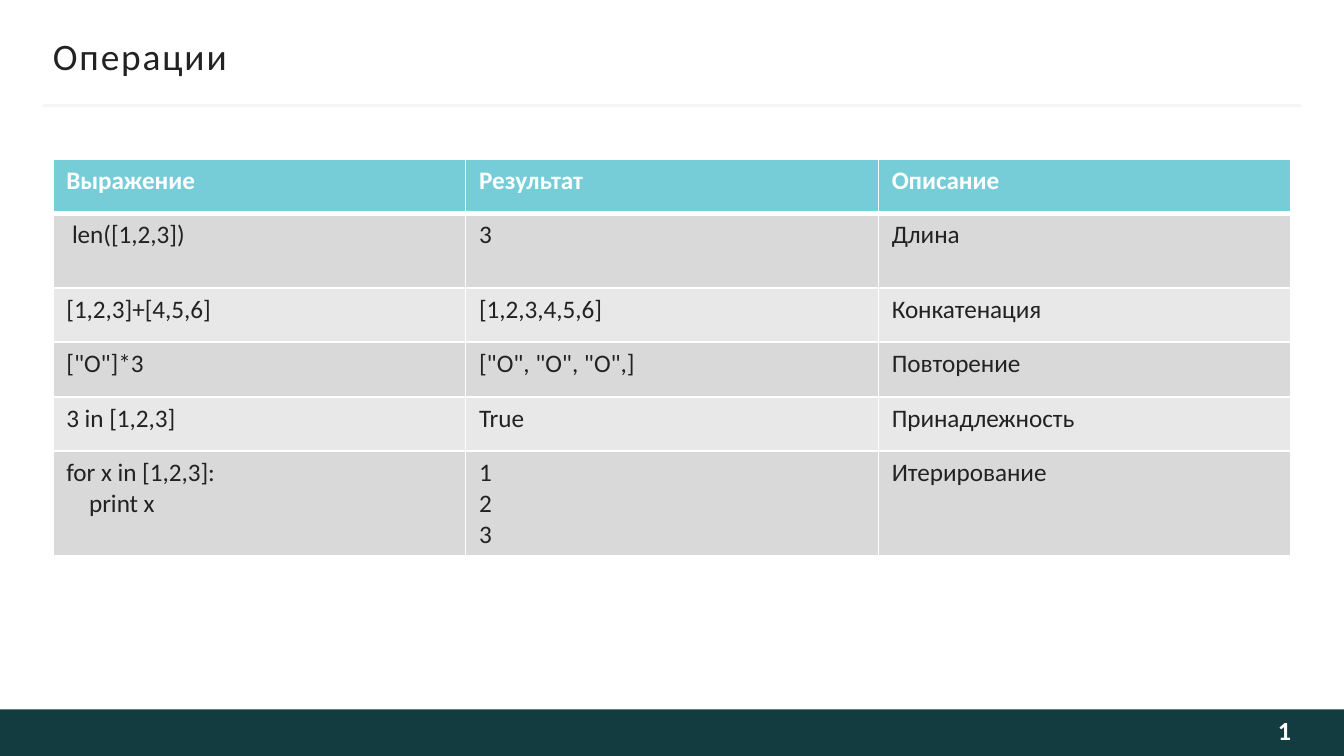
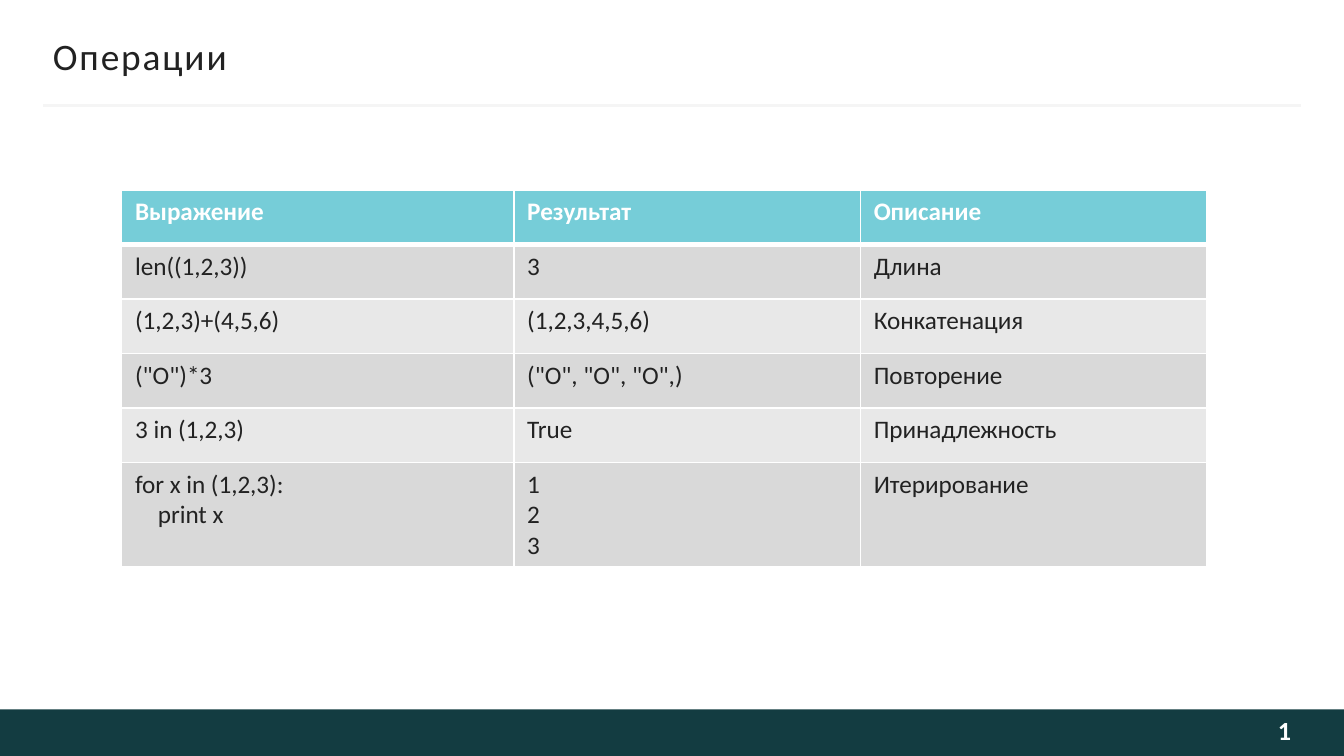
import dataclasses

import lxml.etree
import pptx
import pptx.dml.color
import pptx.enum.shapes
import pptx.enum.text
import pptx.oxml.ns
import pptx.util

Cm = pptx.util.Cm
Pt = pptx.util.Pt
ALIGN = pptx.enum.text.PP_ALIGN
ANCHOR = pptx.enum.text.MSO_ANCHOR
qn = pptx.oxml.ns.qn


@dataclasses.dataclass(frozen=True)
class Theme:
    font: str = "Calibri"
    ink: str = "222222"
    white: str = "FFFFFF"
    number: str = "FEFEFE"
    rule: str = "F5F5F5"
    band: str = "133C41"
    header: str = "76CDD8"
    stripes: tuple = ("D9D9D9", "E8E8E8")
    title_size: float = 20
    number_size: float = 14
    cell_size: float = 13.5


THEME = Theme()
SLIDE_WIDTH, SLIDE_HEIGHT = Cm(25.4), Cm(14.29)
MARGIN = Cm(1)
BAND_HEIGHT = Cm(0.88)
ROW, TALL_ROW, LAST_ROW = Cm(1.03), Cm(1.41), Cm(1.98)
CODE_INDENT = Cm(0.43)


def rgb(value):
    return pptx.dml.color.RGBColor.from_string(value)


def write_text(frame, text, *, size, color, bold=False, align=ALIGN.LEFT,
               anchor=ANCHOR.TOP, insets=None, tracking=0):
    """Write one paragraph a line; a leading tab stands for a code indent."""
    frame.word_wrap = True
    frame.vertical_anchor = anchor
    if insets:
        (frame.margin_left, frame.margin_top,
         frame.margin_right, frame.margin_bottom) = insets
    for index, line in enumerate(text.split("\n")):
        paragraph = frame.add_paragraph() if index else frame.paragraphs[0]
        paragraph.alignment = align
        if line.startswith("\t"):
            properties = paragraph._p.get_or_add_pPr()
            properties.set("marL", str(CODE_INDENT))
            properties.set("indent", "0")
        run = paragraph.add_run()
        run.text = line.lstrip("\t")
        run.font.name = THEME.font
        run.font.size = Pt(size)
        run.font.bold = bold
        run.font.color.rgb = rgb(color)
        if tracking:
            run.font._element.set("spc", str(tracking * 100))


def add_heading(slide, left, top, width, title):
    """Title with the rule below it, which overhangs the text on both sides."""
    heading = slide.shapes.add_textbox(left, top, width, Cm(0.84))
    write_text(heading.text_frame, title, size=THEME.title_size, color=THEME.ink,
               anchor=ANCHOR.MIDDLE, insets=(0, Cm(0.13), 0, Cm(0.13)), tracking=1)

    overhang, rule_y = Cm(0.18), top + Cm(1.35)
    rule = slide.shapes.add_connector(
        pptx.enum.shapes.MSO_CONNECTOR.STRAIGHT,
        left - overhang, rule_y, left + width + overhang, rule_y)
    rule.line.color.rgb = rgb(THEME.rule)
    rule.line.width = Pt(1.5)
    lxml.etree.SubElement(rule._element.spPr, qn("a:effectLst"))


def add_footer(slide, left, top, width, height, number):
    band = slide.shapes.add_shape(
        pptx.enum.shapes.MSO_SHAPE.RECTANGLE, left, top, width, height)
    band.shadow.inherit = False
    band.fill.solid()
    band.fill.fore_color.rgb = rgb(THEME.band)
    band.line.fill.background()

    number_width = Cm(3.81)
    page_number = slide.shapes.add_textbox(
        left + width - MARGIN - number_width, top, number_width, height)
    write_text(page_number.text_frame, number, size=THEME.number_size,
               color=THEME.number, bold=True, align=ALIGN.RIGHT,
               anchor=ANCHOR.MIDDLE, insets=(Cm(0.25), Cm(0.13), 0, Cm(0.23)))


def set_borders(cell, **widths):
    """Draw the white borders; call before the fill, as the schema orders them."""
    properties = cell._tc.get_or_add_tcPr()
    for side in "LRTB":
        border = lxml.etree.SubElement(
            properties, qn(f"a:ln{side}"), w=str(Pt(widths.get(side, 1))))
        solid = lxml.etree.SubElement(border, qn("a:solidFill"))
        lxml.etree.SubElement(solid, qn("a:srgbClr"), val=THEME.white)


def add_operations(slide, left, top, column_widths, row_heights, rows):
    table = slide.shapes.add_table(
        len(rows), len(column_widths), left, top,
        sum(column_widths), sum(row_heights)).table
    for column, width in zip(table.columns, column_widths):
        column.width = width
    for index, (row, height, texts) in enumerate(zip(table.rows, row_heights, rows)):
        row.height = height
        is_header = index == 0
        heavy = {0: {"B": 3}, 1: {"T": 3}}.get(index, {})
        background = THEME.header if is_header else THEME.stripes[(index - 1) % 2]
        for cell, text in zip(row.cells, texts):
            set_borders(cell, **heavy)
            cell.fill.solid()
            cell.fill.fore_color.rgb = rgb(background)
            write_text(cell.text_frame, text, size=THEME.cell_size, bold=is_header,
                       color=THEME.white if is_header else THEME.ink)


def operation_rows(opening, closing, lead=""):
    """The sequence operations, written with the brackets of one type."""
    def sequence(items):
        return opening + items + closing

    numbers = sequence("1,2,3")
    return [
        ("Выражение", "Результат", "Описание"),
        (f"{lead}len({numbers})", "3", "Длина"),
        (numbers + "+" + sequence("4,5,6"), sequence("1,2,3,4,5,6"), "Конкатенация"),
        (sequence('"O"') + "*3", sequence('"O", "O", "O",'), "Повторение"),
        (f"3 in {numbers}", "True", "Принадлежность"),
        (f"for x in {numbers}:\n\tprint x", "1\n2\n3", "Итерирование"),
    ]


def add_operations_slide(deck, left, top, column_widths, row_heights, rows):
    slide = deck.slides.add_slide(deck.slide_layouts[6])
    add_footer(slide, 0, SLIDE_HEIGHT - BAND_HEIGHT, SLIDE_WIDTH, BAND_HEIGHT, "1")
    add_heading(slide, MARGIN, Cm(0.64), SLIDE_WIDTH - 2 * MARGIN, "Операции")
    add_operations(slide, left, top, column_widths, row_heights, rows)


def main():
    deck = pptx.Presentation()
    deck.slide_width, deck.slide_height = SLIDE_WIDTH, SLIDE_HEIGHT
    add_operations_slide(
        deck, MARGIN, Cm(3), [Cm(7.8)] * 3,
        [ROW, TALL_ROW, ROW, ROW, ROW, LAST_ROW], operation_rows("[", "]", lead=" "))
    add_operations_slide(
        deck, Cm(2.3), Cm(3.59), [Cm(7.41), Cm(6.55), Cm(6.55)],
        [ROW] * 5 + [LAST_ROW], operation_rows("(", ")"))
    deck.save("out.pptx")


if __name__ == "__main__":
    main()
